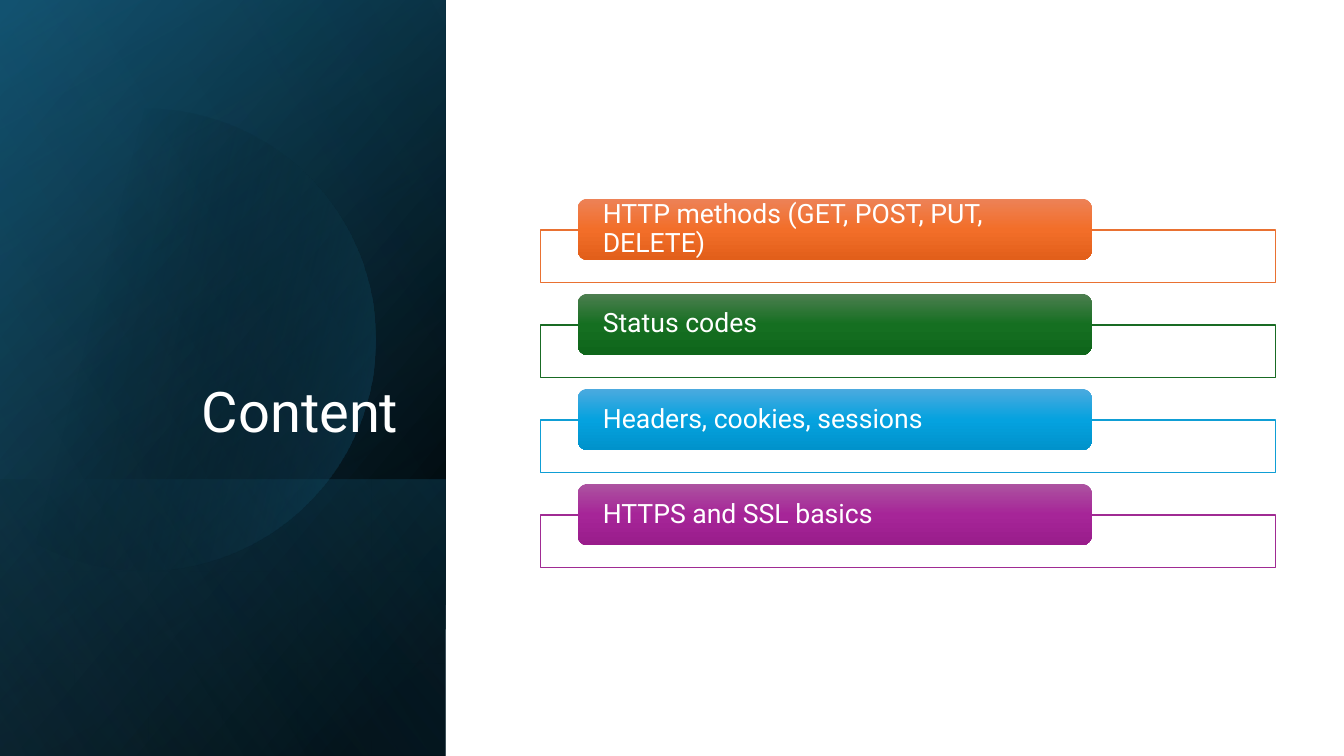
from math import acos, cos, sin

from lxml.etree import SubElement
from pptx import Presentation
from pptx.dml.color import RGBColor as RGB
from pptx.enum.shapes import MSO_SHAPE as SHAPE
from pptx.enum.text import MSO_ANCHOR as ANCHOR, MSO_AUTO_SIZE as FIT, PP_ALIGN as ALIGN
from pptx.oxml.ns import qn
from pptx.util import Inches, Pt

COLORS = {
    "white": "FFFFFF",
    "black": "000000",
    "navy": "104862",
    "teal": "156082",
    "sky": "46B1E1",
}

# Topic, frame colour, gradient of the label from top to bottom
TOPICS = [
    ("HTTP methods (GET, POST, PUT, DELETE)", "E97132", ("ED8257", "F26E29", "E25F1A")),
    ("Status codes", "196B24", ("4D7E50", "156F21", "0F661B")),
    ("Headers, cookies, sessions", "0F9ED5", ("4CAADF", "05A2DF", "0092CB")),
    ("HTTPS and SSL basics", "A02B93", ("AC53A0", "A62598", "991C8B")),
]


class Deck:
    font = "Roboto"

    def __init__(self, prs):
        self.slide = prs.slides.add_slide(prs.slide_layouts[5])
        self.shapes = self.slide.shapes

    def gradient(self, sp, stops, angle):
        """Fill with (position %, hex, opacity %) stops; angle runs clockwise."""
        sp.shadow.inherit = False
        sp.line.fill.background()
        sp.fill.gradient()
        grad = sp._element.spPr.find(qn("a:gradFill"))
        for child in list(grad):
            grad.remove(child)
        gs_list = SubElement(grad, qn("a:gsLst"))
        for pos, color, opacity in stops:
            gs = SubElement(gs_list, qn("a:gs"), pos=str(pos * 1000))
            clr = SubElement(gs, qn("a:srgbClr"), val=color)
            if opacity < 100:
                SubElement(clr, qn("a:alpha"), val=str(opacity * 1000))
        SubElement(grad, qn("a:lin"), ang=str(angle * 60000), scaled="0")

    def panel(self, x, y, w, h, stops, angle):
        """Mirrored rectangle turned a quarter; w and h are before turning."""
        sp = self.shapes.add_shape(SHAPE.RECTANGLE, Inches(x), Inches(y), Inches(w), Inches(h))
        sp.rotation = 90
        sp._element.spPr.find(qn("a:xfrm")).set("flipH", "1")
        self.gradient(sp, stops, angle)

    def cut_disc(self, cx, cy, radius, stops, angle):
        """Disc cut straight at the left edge of the slide."""
        limit = acos(-cx / radius)
        steps = 120
        turns = [limit * (2 * i / steps - 1) for i in range(steps + 1)]
        points = [(Inches(cx + radius * cos(t)), Inches(cy + radius * sin(t))) for t in turns]
        builder = self.shapes.build_freeform(*points[0])
        builder.add_line_segments(points[1:], close=True)
        self.gradient(builder.convert_to_shape(), stops, angle)

    def set_text(self, sp, text, size, align, anchor):
        tf = sp.text_frame
        tf.text = text
        tf.word_wrap = True
        tf.auto_size = FIT.NONE
        tf.vertical_anchor = anchor
        p = tf.paragraphs[0]
        p.alignment = align
        p.line_spacing = 0.9
        p.font.name = self.font
        p.font.size = Pt(size)
        p.font.color.rgb = RGB.from_string(COLORS["white"])
        return tf

    def title(self, text, x, y, w, h):
        sp = self.shapes.title
        sp.left, sp.top, sp.width, sp.height = Inches(x), Inches(y), Inches(w), Inches(h)
        self.set_text(sp, text, 40, ALIGN.RIGHT, ANCHOR.BOTTOM)
        sp._element.getparent().append(sp._element)  # in front of the panels

    def frame(self, x, y, w, h, color):
        sp = self.shapes.add_shape(SHAPE.RECTANGLE, Inches(x), Inches(y), Inches(w), Inches(h))
        sp.shadow.inherit = False
        sp.fill.solid()
        sp.fill.fore_color.rgb = RGB.from_string(COLORS["white"])
        sp.line.color.rgb = RGB.from_string(color)
        sp.line.width = Pt(1)

    def label(self, text, x, y, w, h, shades):
        sp = self.shapes.add_shape(SHAPE.ROUNDED_RECTANGLE, Inches(x), Inches(y), Inches(w), Inches(h))
        self.gradient(sp, [(50 * i, shade, 100) for i, shade in enumerate(shades)], 90)
        tf = self.set_text(sp, text, 19, ALIGN.LEFT, ANCHOR.MIDDLE)
        tf.margin_left = tf.margin_right = Inches(0.22)
        tf.margin_top = tf.margin_bottom = 0


def main():
    prs = Presentation()
    prs.slide_width, prs.slide_height = Inches(13.33), Inches(7.5)
    deck = Deck(prs)

    black, teal = COLORS["black"], COLORS["teal"]
    side = (-1.54, 1.54, 7.5, 4.42)
    deck.panel(*side, [(8, black, 100), (100, COLORS["navy"], 100)], 50)
    deck.panel(*side, [(0, black, 0), (99, teal, 46)], 30)
    deck.panel(0.84, 3.92, 2.74, 4.42, [(2, teal, 29), (100, black, 30)], 130)
    deck.cut_disc(1.43, 3.37, 2.29, [(29, black, 0), (100, teal, 43)], 14)
    deck.panel(*side, [(0, black, 0), (99, COLORS["sky"], 11)], 120)
    deck.title("Content", 0.64, 1.84, 3.41, 2.62)

    first, last = 2.28, 5.11
    pitch = (last - first) / (len(TOPICS) - 1)
    for i, (text, color, shades) in enumerate(TOPICS):
        y = first + i * pitch
        deck.frame(5.36, y, 7.29, 0.52, color)
        deck.label(text, 5.73, y - 0.31, 5.1, 0.61, shades)

    prs.save("out.pptx")


if __name__ == "__main__":
    main()
